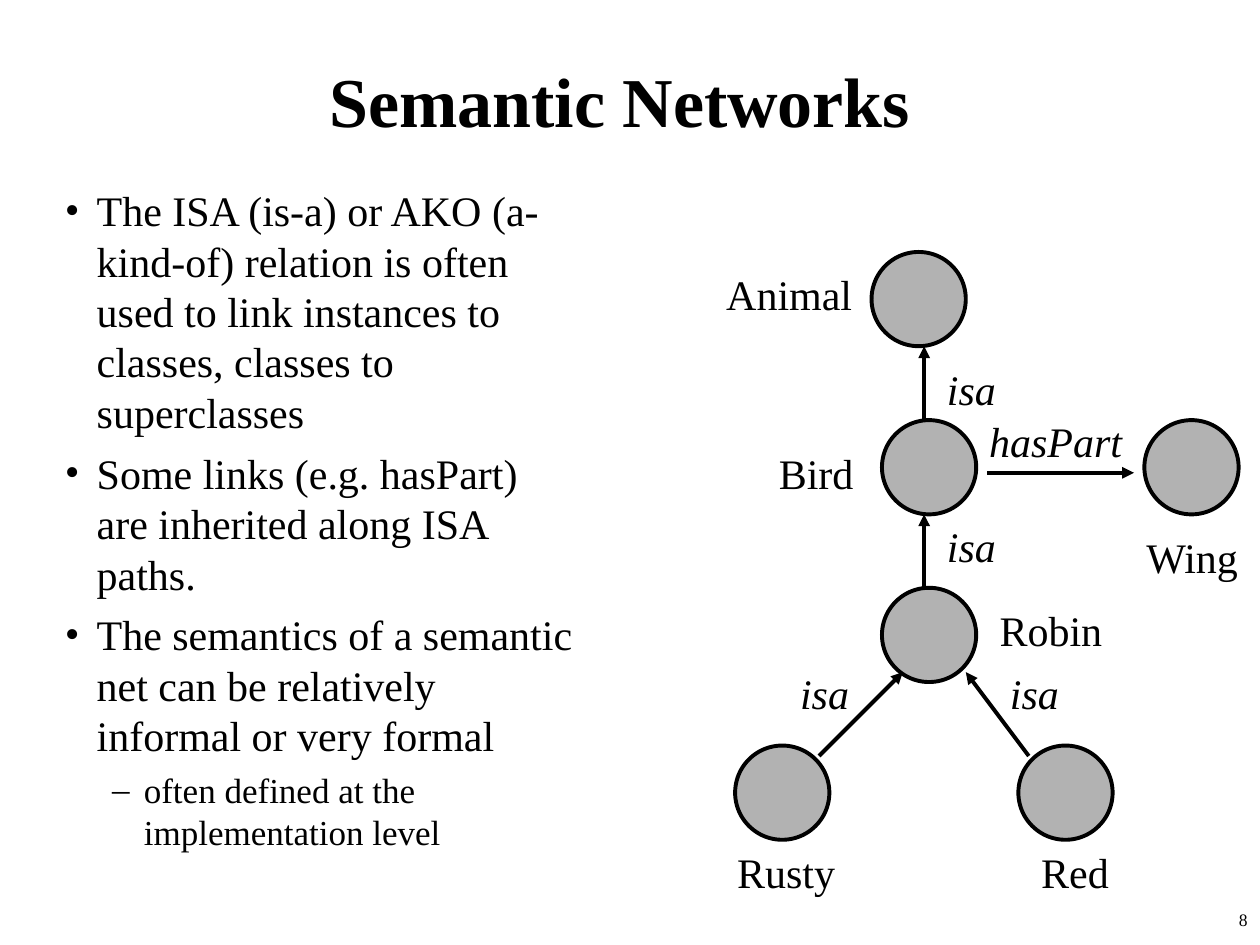
from lxml import etree
from pptx import Presentation
from pptx.dml.color import RGBColor
from pptx.enum.shapes import MSO_CONNECTOR, MSO_SHAPE
from pptx.enum.text import MSO_ANCHOR, MSO_AUTO_SIZE, PP_ALIGN
from pptx.oxml.ns import qn
from pptx.util import Cm, Pt

BLACK = RGBColor(0x00, 0x00, 0x00)
GREY = RGBColor(0xB2, 0xB2, 0xB2)
FONT = "Times New Roman"
NODE_SIZE = Cm(1.9)
LINE_WIDTH = Pt(2.25)

prs = Presentation()
prs.slide_width, prs.slide_height = Cm(25.4), Cm(19.05)
s = prs.slides.add_slide(prs.slide_layouts[6])


def add_box(x, y, w, h, wrap=True):
    tf = s.shapes.add_textbox(Cm(x), Cm(y), Cm(w), Cm(h)).text_frame
    tf.word_wrap = wrap
    return tf


def add_run(p, text, size, bold=False, italic=False):
    r = p.add_run()
    r.text = text
    r.font.name, r.font.size = FONT, Pt(size)
    r.font.bold, r.font.italic = bold, italic
    r.font.color.rgb = BLACK


# Title
tf = add_box(1.7, 0.43, 21.59, 3.17)
tf.vertical_anchor = MSO_ANCHOR.MIDDLE
p = tf.paragraphs[0]
p.alignment = PP_ALIGN.CENTER
add_run(p, "Semantic Networks", 40, bold=True)

# Bullets: level, text
bullets = [
    (0, "The ISA (is-a) or AKO (a-kind-of) relation is often used to link "
        "instances to classes, classes to superclasses"),
    (0, "Some links (e.g. hasPart) are inherited along ISA paths."),
    (0, "The semantics of a semantic net can be relatively informal or very formal"),
    (1, "often defined at the implementation level"),
]
# Per level: mark, text size, space before, left margin
levels = [("•", 24, 6, 0.64), ("–", 20, 5, 1.59)]
tf = add_box(1.06, 3.6, 10.8, 14.82)
for i, (level, text) in enumerate(bullets):
    mark, size, space, margin = levels[level]
    p = tf.paragraphs[0] if i == 0 else tf.add_paragraph()
    p.level = level
    pPr = p._p.get_or_add_pPr()
    pPr.set("marL", str(Cm(margin)))
    pPr.set("indent", str(-Cm(0.64)))
    etree.SubElement(pPr, qn("a:buFont")).set("typeface", FONT)
    etree.SubElement(pPr, qn("a:buChar")).set("char", mark)
    if i:
        p.space_before = Pt(space)
    add_run(p, text, size)

# Network nodes: left, top
nodes = [(17.57, 5.08), (17.78, 8.47), (17.78, 11.85),
         (14.82, 15.03), (20.53, 15.03), (23.07, 8.47)]
for x, y in nodes:
    sp = s.shapes.add_shape(MSO_SHAPE.OVAL, Cm(x), Cm(y), NODE_SIZE, NODE_SIZE)
    sp.shadow.inherit = False
    sp.fill.solid()
    sp.fill.fore_color.rgb = GREY
    sp.line.color.rgb = BLACK
    sp.line.width = LINE_WIDTH

# Links: from x, y to x, y
links = [(18.63, 8.47, 18.63, 6.98), (18.63, 11.85, 18.63, 10.37),
         (16.51, 15.24, 18.2, 13.55), (20.74, 15.24, 19.47, 13.55),
         (19.9, 9.53, 22.86, 9.53)]
for link in links:
    line = s.shapes.add_connector(MSO_CONNECTOR.STRAIGHT, *(Cm(v) for v in link))
    line.line.color.rgb = BLACK
    line.line.width = LINE_WIDTH
    etree.SubElement(line.line._get_or_add_ln(), qn("a:tailEnd")).set("type", "triangle")
    etree.SubElement(line._element.spPr, qn("a:effectLst"))

# Labels: text, left, top, width; link names are italic
node_labels = [("Animal", 14.39, 5.29, 3.15), ("Bird", 15.45, 8.89, 2.1),
               ("Robin", 19.9, 12.07, 2.65), ("Rusty", 14.61, 16.93, 2.6),
               ("Red", 20.74, 16.93, 1.95), ("Wing", 22.86, 10.58, 2.5)]
link_labels = [("isa", 18.84, 7.2, 1.6), ("isa", 18.84, 10.37, 1.6),
               ("isa", 20.11, 13.34, 1.6), ("isa", 15.88, 13.34, 1.6),
               ("hasPart", 19.69, 8.26, 3.3)]
for labels, italic in ((node_labels, False), (link_labels, True)):
    for text, x, y, w in labels:
        tf = add_box(x, y, w, 1.27, wrap=False)
        tf.auto_size = MSO_AUTO_SIZE.SHAPE_TO_FIT_TEXT
        add_run(tf.paragraphs[0], text, 24, italic=italic)

# Slide number
p = add_box(20.11, 18.2, 5.29, 0.85).paragraphs[0]
p.alignment = PP_ALIGN.RIGHT
add_run(p, "8", 10)

prs.save("out.pptx")
